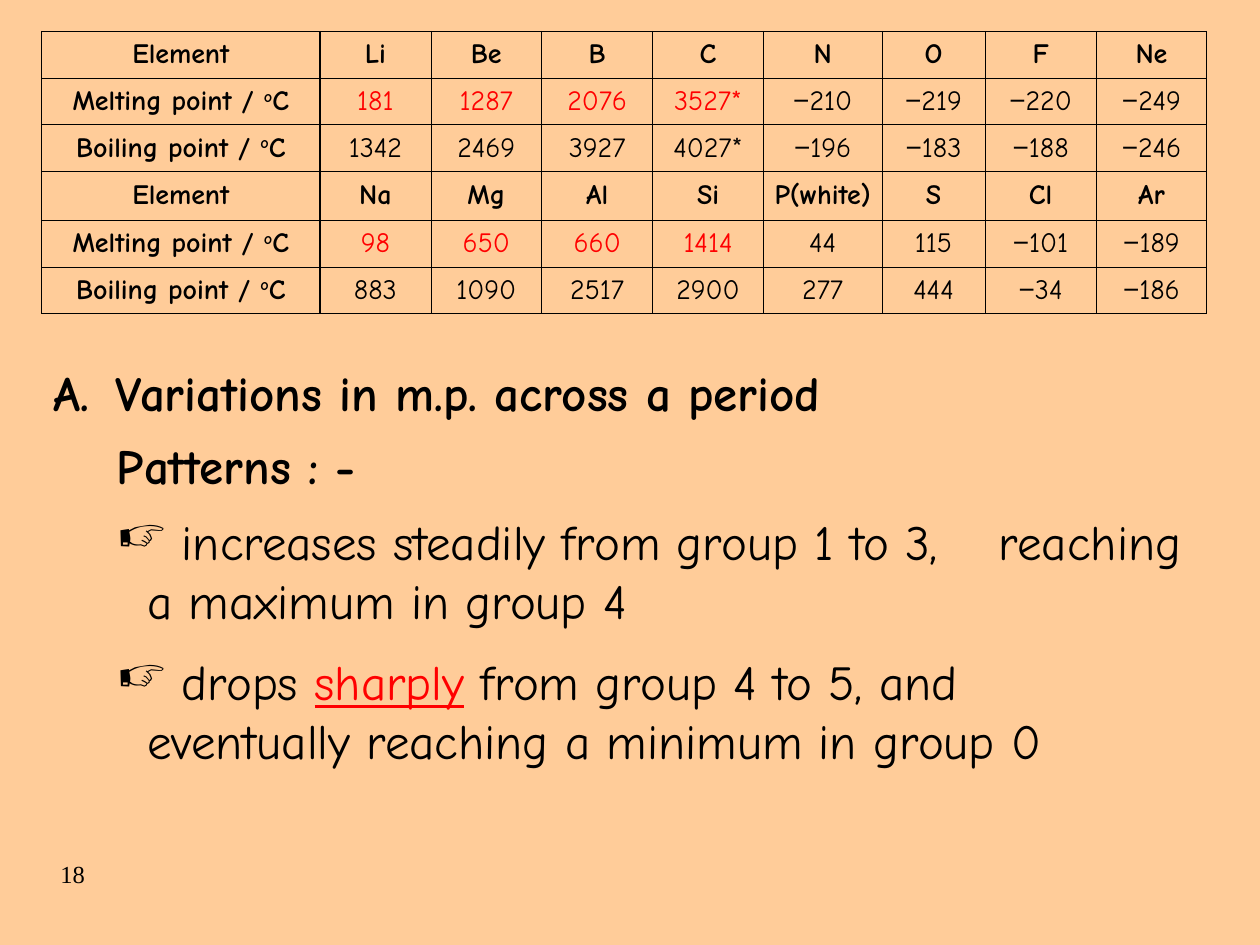
import lxml.etree
import pptx
import pptx.dml.color
import pptx.enum.text
import pptx.oxml.ns
import pptx.util

Inches = pptx.util.Inches
Pt = pptx.util.Pt
qn = pptx.oxml.ns.qn

BLACK = pptx.dml.color.RGBColor(0x00, 0x00, 0x00)
RED = pptx.dml.color.RGBColor(0xFF, 0x00, 0x00)
PEACH = pptx.dml.color.RGBColor(0xFF, 0xCC, 0x99)

HAND = "Comic Neue"
SIGN = "−"
MELT = "Melting point / °C"
BOIL = "Boiling point / °C"
COLS = [2.21, 0.88, 0.88, 0.88, 0.88, 0.94, 0.82, 0.88, 0.88]
ROWS = [0.37, 0.37, 0.37, 0.39, 0.37, 0.37]
DATA = [
    ["Element", "Li", "Be", "B", "C", "N", "O", "F", "Ne"],
    [MELT, "181", "1287", "2076", "3527*", "−210", "−219", "−220", "−249"],
    [BOIL, "1342", "2469", "3927", "4027*", "−196", "−183", "−188", "−246"],
    ["Element", "Na", "Mg", "Al", "Si", "P(white)", "S", "Cl", "Ar"],
    [MELT, "98", "650", "660", "1414", "44", "115", "−101", "−189"],
    [BOIL, "883", "1090", "2517", "2900", "277", "444", "−34", "−186"],
]


def style(item, values):
    for name, value in values.items():
        setattr(item, name, value)


def add_run(para, text, size, color=BLACK, name=HAND, **more):
    run = para.add_run()
    run.text = text
    style(run.font, {"size": Pt(size), "name": name, **more})
    run.font.color.rgb = color
    return run


def add_node(base, tag, **attrs):
    node = lxml.etree.SubElement(base, qn(tag))
    for name, value in attrs.items():
        node.set(name, str(value))
    return node


def set_tabs(para, stops):
    tabs = add_node(para._p.get_or_add_pPr(), "a:tabLst")
    for stop in stops:
        add_node(tabs, "a:tab", pos=int(Inches(stop)), algn="l")


def set_bullet(para, char, hang):
    props = para._p.get_or_add_pPr()
    props.set("marL", str(int(Inches(hang))))
    props.set("indent", str(-int(Inches(hang))))
    tint = add_node(props, "a:buClr")
    add_node(tint, "a:srgbClr", val=BLACK)
    add_node(props, "a:buChar", char=char)


def set_edges(cell, row, col):
    thick = {
        "a:lnL": col <= 1,
        "a:lnR": col in (0, len(COLS) - 1),
        "a:lnT": row % 3 == 0,
        "a:lnB": row % 3 == 2,
    }
    props = cell._tc.get_or_add_tcPr()
    for tag, heavy in thick.items():
        line = add_node(props, tag, w=int(Pt(0.75 if heavy else 0.45)))
        fill = add_node(line, "a:solidFill")
        add_node(fill, "a:srgbClr", val=BLACK)


def fill_cell(cell, text, row, col):
    style(cell, {
        "margin_left": Inches(0.02),
        "margin_right": Inches(0.02),
        "margin_top": Inches(0.05),
        "margin_bottom": Inches(0.05),
        "vertical_anchor": pptx.enum.text.MSO_ANCHOR.MIDDLE,
    })
    para = cell.text_frame.paragraphs[0]
    para.alignment = pptx.enum.text.PP_ALIGN.CENTER
    bold = col == 0 or row % 3 == 0
    color = RED if row % 3 == 1 and 1 <= col <= 4 else BLACK
    if text.startswith(SIGN):
        add_run(para, SIGN, 16, color, "Arial", bold=bold)
        text = text[1:]
    head, mark, tail = text.partition("°")
    add_run(para, head, 16, color, bold=bold)
    if mark:
        ring = add_run(para, "o", 16, color, bold=bold)
        ring.font._rPr.set("baseline", "30000")
        add_run(para, tail, 16, color, bold=bold)
    set_edges(cell, row, col)
    cell.fill.background()


def add_grid(slide, left, top, width, height):
    box = [Inches(side) for side in (left, top, width, height)]
    table = slide.shapes.add_table(len(ROWS), len(COLS), *box).table
    style(table, {"first_row": False, "horz_banding": False})
    for col, size in zip(table.columns, COLS):
        col.width = Inches(size)
    for row, size in zip(table.rows, ROWS):
        row.height = Inches(size)
    for row, line in enumerate(DATA):
        for col, text in enumerate(line):
            fill_cell(table.cell(row, col), text, row, col)


def add_text(slide, left, top, width, height):
    box = [Inches(side) for side in (left, top, width, height)]
    frame = slide.shapes.add_textbox(*box).text_frame
    frame.word_wrap = True
    return frame.paragraphs[0]


def add_heads(slide, left, top, width, height):
    para = add_text(slide, left, top, width, height)
    set_tabs(para, [0.49])
    add_run(para, "A.\tVariations in m.p. across a period", 28, bold=True)
    para = add_text(slide, left + 0.5, top + 0.58, 2.58, height)
    add_run(para, "Patterns : -", 28, bold=True)


def add_point(slide, left, top, width, height, parts):
    para = add_text(slide, left, top, width, height)
    set_bullet(para, "☞", 0.24)
    set_tabs(para, [0.49, 1, 2, 3, 4, 5, 6, 7])
    for text, more in parts:
        add_run(para, text, 28, **more)


def add_page(slide, left, top, width, height):
    para = add_text(slide, left, top, width, height)
    add_run(para, "18", 14, name="Times New Roman")


def main():
    deck = pptx.Presentation()
    style(deck, {"slide_width": Inches(10), "slide_height": Inches(7.5)})
    slide = deck.slides.add_slide(deck.slide_layouts[6])
    slide.background.fill.solid()
    slide.background.fill.fore_color.rgb = PEACH
    add_page(slide, 0.38, 6.77, 1.42, 0.5)
    add_grid(slide, 0.33, 0.25, 9.25, 2.24)
    add_heads(slide, 0.33, 2.83, 7.75, 0.57)
    add_point(slide, 0.83, 4.01, 8.67, 1.04, [
        (" increases steadily from group 1 to 3, \treaching a maximum in group 4", {}),
    ])
    add_point(slide, 0.83, 5.12, 8.67, 1.04, [
        (" drops ", {}),
        ("sharply", {"color": RED, "underline": True}),
        (" from group 4 to 5, and \teventually reaching a minimum in group 0", {}),
    ])
    deck.save("out.pptx")


if __name__ == "__main__":
    main()
